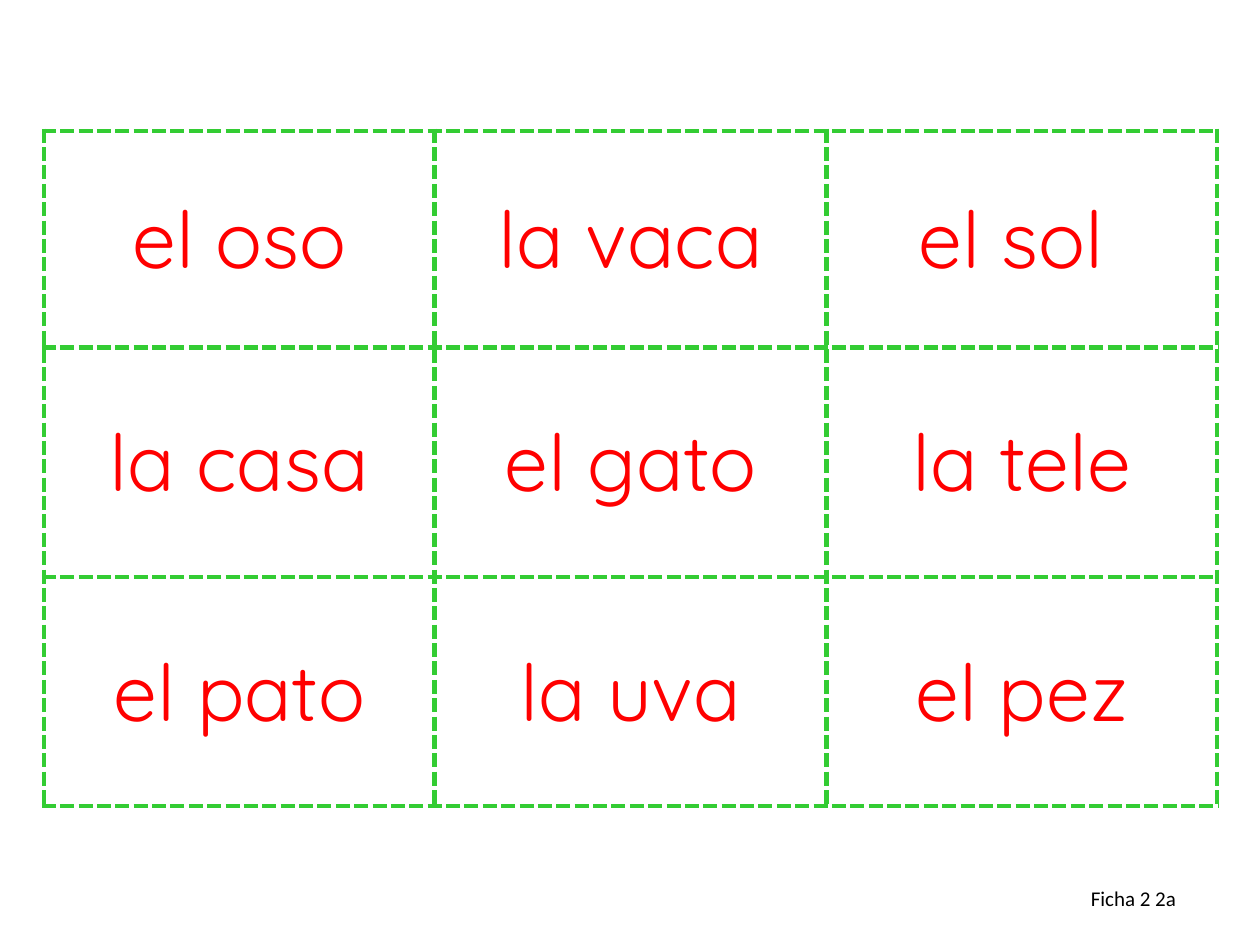
from dataclasses import dataclass

import pptx
import pptx.dml.color
import pptx.enum.text
import pptx.oxml
import pptx.oxml.ns
import pptx.util
from pptx.util import Cm


@dataclass(frozen=True)
class Theme:
    word_font: str = "Quicksand"
    word_size: int = 45
    word_color: str = "FF0000"
    label_font: str = "Calibri"
    label_size: int = 12
    label_color: str = "000000"
    cut_color: str = "33CC33"
    cut_width: int = 3


@dataclass(frozen=True)
class WordRow:
    height: float
    words: tuple[str, ...]


THEME = Theme()
COL_WIDTHS = (7.87, 7.9, 7.87)
ROWS = (
    WordRow(4.37, ("el oso", "la vaca", "el sol ")),
    WordRow(4.62, ("la casa", "el gato", "la tele")),
    WordRow(4.62, ("el pato", "la uva", "el pez")),
)


def write_text(tf, text: str, font: str, size: int, color: str) -> None:
    p = tf.paragraphs[0]
    r = p.add_run()
    r.text = text
    formats = {"name": font, "size": pptx.util.Pt(size), "bold": False}
    for name, value in formats.items():
        setattr(r.font, name, value)
    r.font.color.rgb = pptx.dml.color.RGBColor.from_string(color)


def add_cut_lines(cell) -> None:
    """Give the cell a dashed line on all four sides."""
    tc_pr = cell._tc.get_or_add_tcPr()
    width = pptx.util.Pt(THEME.cut_width)
    for side in ("lnL", "lnR", "lnT", "lnB"):
        tc_pr.append(pptx.oxml.parse_xml(
            f'<a:{side} {pptx.oxml.ns.nsdecls("a")} w="{width}">'
            f'<a:solidFill><a:srgbClr val="{THEME.cut_color}"/></a:solidFill>'
            f'<a:prstDash val="dash"/></a:{side}>'))


def fill_card(cell, word: str) -> None:
    formats = {
        "margin_left": Cm(0.43), "margin_right": Cm(0.43),
        "margin_top": Cm(0.13), "margin_bottom": Cm(0.13),
        "vertical_anchor": pptx.enum.text.MSO_ANCHOR.MIDDLE,
    }
    for name, value in formats.items():
        setattr(cell, name, value)
    add_cut_lines(cell)
    cell.fill.background()
    write_text(cell.text_frame, word, THEME.word_font, THEME.word_size, THEME.word_color)
    cell.text_frame.paragraphs[0].alignment = pptx.enum.text.PP_ALIGN.CENTER


def add_word_cards(s) -> None:
    height = sum(row.height for row in ROWS)
    table = s.shapes.add_table(len(ROWS), len(COL_WIDTHS), Cm(0.89), Cm(2.64),
                               Cm(sum(COL_WIDTHS)), Cm(height)).table
    for name in ("first_row", "horz_banding"):
        setattr(table, name, False)
    for col, width in zip(table.columns, COL_WIDTHS):
        col.width = Cm(width)
    for i, row in enumerate(ROWS):
        table.rows[i].height = Cm(row.height)
        for j, word in enumerate(row.words):
            fill_card(table.cell(i, j), word)


def add_sheet_label(s, text: str) -> None:
    sp = s.shapes.add_textbox(Cm(21.74), Cm(17.73), Cm(2.69), Cm(0.76))
    tf = sp.text_frame
    tf.word_wrap = True
    tf.auto_size = pptx.enum.text.MSO_AUTO_SIZE.SHAPE_TO_FIT_TEXT
    write_text(tf, text, THEME.label_font, THEME.label_size, THEME.label_color)


def main() -> None:
    prs = pptx.Presentation()
    prs.slide_width, prs.slide_height = Cm(25.4), Cm(19.05)
    s = prs.slides.add_slide(prs.slide_layouts[6])

    # Cards to cut out
    add_word_cards(s)

    # Sheet number
    add_sheet_label(s, "Ficha 2 2a")

    prs.save("out.pptx")


if __name__ == "__main__":
    main()
